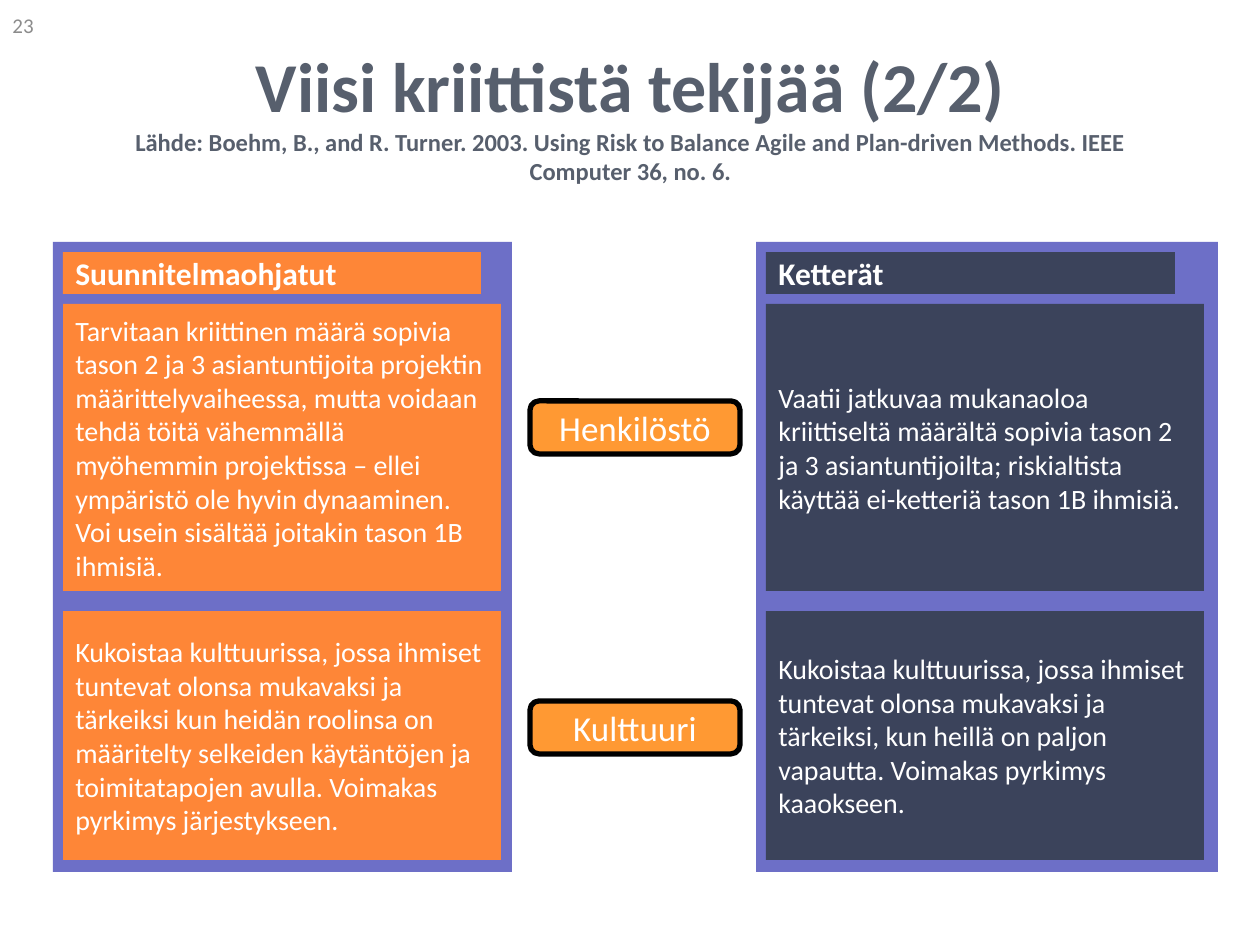
from pptx import Presentation
from pptx.dml.color import RGBColor
from pptx.enum.shapes import MSO_SHAPE
from pptx.enum.text import MSO_ANCHOR, PP_ALIGN
from pptx.util import Pt

EMU_PER_PX = 914400 // 126
RECT, ROUNDED = MSO_SHAPE.RECTANGLE, MSO_SHAPE.ROUNDED_RECTANGLE
MIDDLE = MSO_ANCHOR.MIDDLE
LEFT, CENTER = PP_ALIGN.LEFT, PP_ALIGN.CENTER

COLORS = {
    "panel": "6D6FC7",
    "plan": "FE8637",
    "agile": "3B435B",
    "factor": "FF9933",
    "border": "000000",
    "white": "FFFFFF",
    "title": "575F6D",
    "number": "8C8C8C",
}


def px(*values):
    return [v * EMU_PER_PX for v in values]


def rgb(name):
    return RGBColor.from_string(COLORS[name])


class SlideBuilder:
    font = "Calibri"

    def __init__(self, prs):
        self.slide = prs.slides.add_slide(prs.slide_layouts[6])

    def add_lines(self, sp, lines, color="white", bold=False, align=LEFT, wrap=True):
        """Fill one paragraph with (text, size) lines parted by line breaks."""
        tf = sp.text_frame
        tf.word_wrap = wrap
        tf.vertical_anchor = MIDDLE
        p = tf.paragraphs[0]
        p.alignment = align
        for i, (text, size) in enumerate(lines):
            if i:
                p.add_line_break()
            r = p.add_run()
            r.text = text
            r.font.name = self.font
            r.font.size = Pt(size)
            r.font.bold = bold
            r.font.color.rgb = rgb(color)

    def text(self, box, lines, **style):
        self.add_lines(self.slide.shapes.add_textbox(*px(*box)), lines, **style)

    def block(self, box, fill, kind=RECT):
        sp = self.slide.shapes.add_shape(kind, *px(*box))
        sp.shadow.inherit = False
        sp.fill.solid()
        sp.fill.fore_color.rgb = rgb(fill)
        sp.line.fill.background()
        return sp

    def cell(self, box, fill, text):
        self.add_lines(self.block(box, fill), [(text, 16)])

    def heading(self, box, fill, text):
        self.add_lines(self.block(box, fill), [(text, 18)], bold=True, wrap=False)

    def factor(self, box, text):
        sp = self.block(box, "factor", ROUNDED)
        sp.adjustments[0] = 0.17
        sp.line.color.rgb = rgb("border")
        sp.line.width = Pt(3)
        self.add_lines(sp, [(text, 20)], align=CENTER, wrap=False)


ROWS = [(304, 287), (611, 249)]  # top and height of each factor's cells
FACTORS = [("Henkilöstö", 401), ("Kulttuuri", 701)]
# fill, panel left, panel width, cell left, heading width, heading, cell texts
COLUMNS = [
    ("plan", 53, 459, 63, 418, "Suunnitelmaohjatut", [
        "Tarvitaan kriittinen määrä sopivia tason 2 ja 3 asiantuntijoita projektin "
        "määrittelyvaiheessa, mutta voidaan tehdä töitä vähemmällä myöhemmin "
        "projektissa – ellei ympäristö ole hyvin dynaaminen. Voi usein sisältää "
        "joitakin tason 1B ihmisiä.",
        "Kukoistaa kulttuurissa, jossa ihmiset tuntevat olonsa mukavaksi ja "
        "tärkeiksi kun heidän roolinsa on määritelty selkeiden käytäntöjen ja "
        "toimitatapojen avulla. Voimakas pyrkimys järjestykseen.",
    ]),
    ("agile", 756, 462, 766, 409, "Ketterät", [
        "Vaatii jatkuvaa mukanaoloa kriittiseltä määrältä sopivia tason 2 ja 3 "
        "asiantuntijoilta; riskialtista käyttää ei-ketteriä tason 1B ihmisiä.",
        "Kukoistaa kulttuurissa, jossa ihmiset tuntevat olonsa mukavaksi ja "
        "tärkeiksi, kun heillä on paljon vapautta. Voimakas pyrkimys kaaokseen.",
    ]),
]


def main():
    prs = Presentation()
    prs.slide_width, prs.slide_height = px(1260, 945)
    s = SlideBuilder(prs)

    for fill, panel_x, panel_w, x, heading_w, heading, texts in COLUMNS:
        s.block((panel_x, 242, panel_w, 630), "panel")
        s.heading((x, 252, heading_w, 42), fill, heading)
        for (y, h), text in zip(ROWS, texts):
            s.cell((x, y, 438, h), fill, text)

    for name, y in FACTORS:
        s.factor((530, y, 210, 53), name)

    s.text((95, 35, 1071, 158), [
        ("Viisi kriittistä tekijää (2/2)", 40),
        ("Lähde: Boehm, B., and R. Turner. 2003. Using Risk to Balance Agile and "
         "Plan-driven Methods. IEEE Computer 36, no. 6.", 14),
    ], color="title", bold=True, align=CENTER)
    s.text((0, 0, 294, 50), [("23", 12)], color="number")

    prs.save("out.pptx")


if __name__ == "__main__":
    main()
